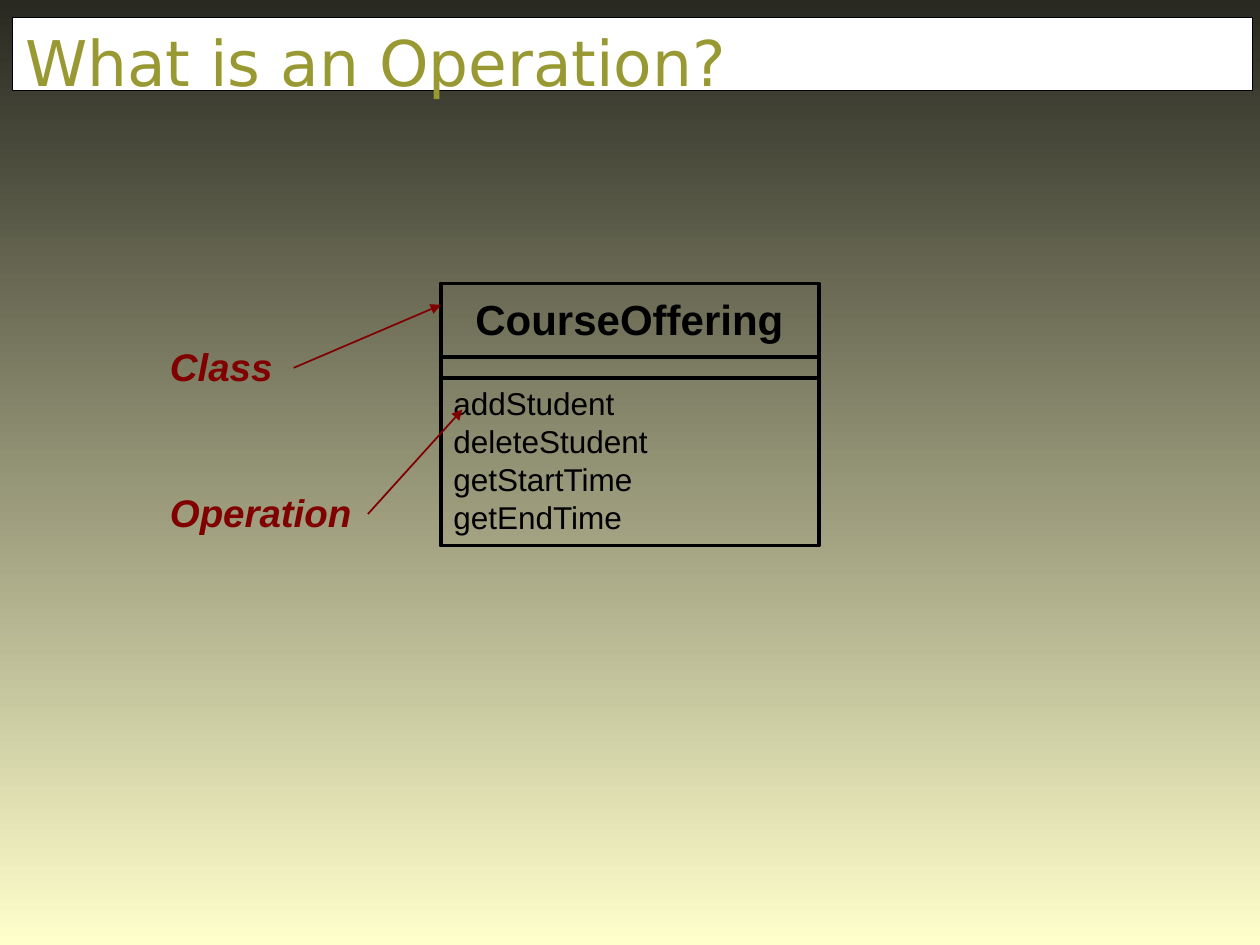
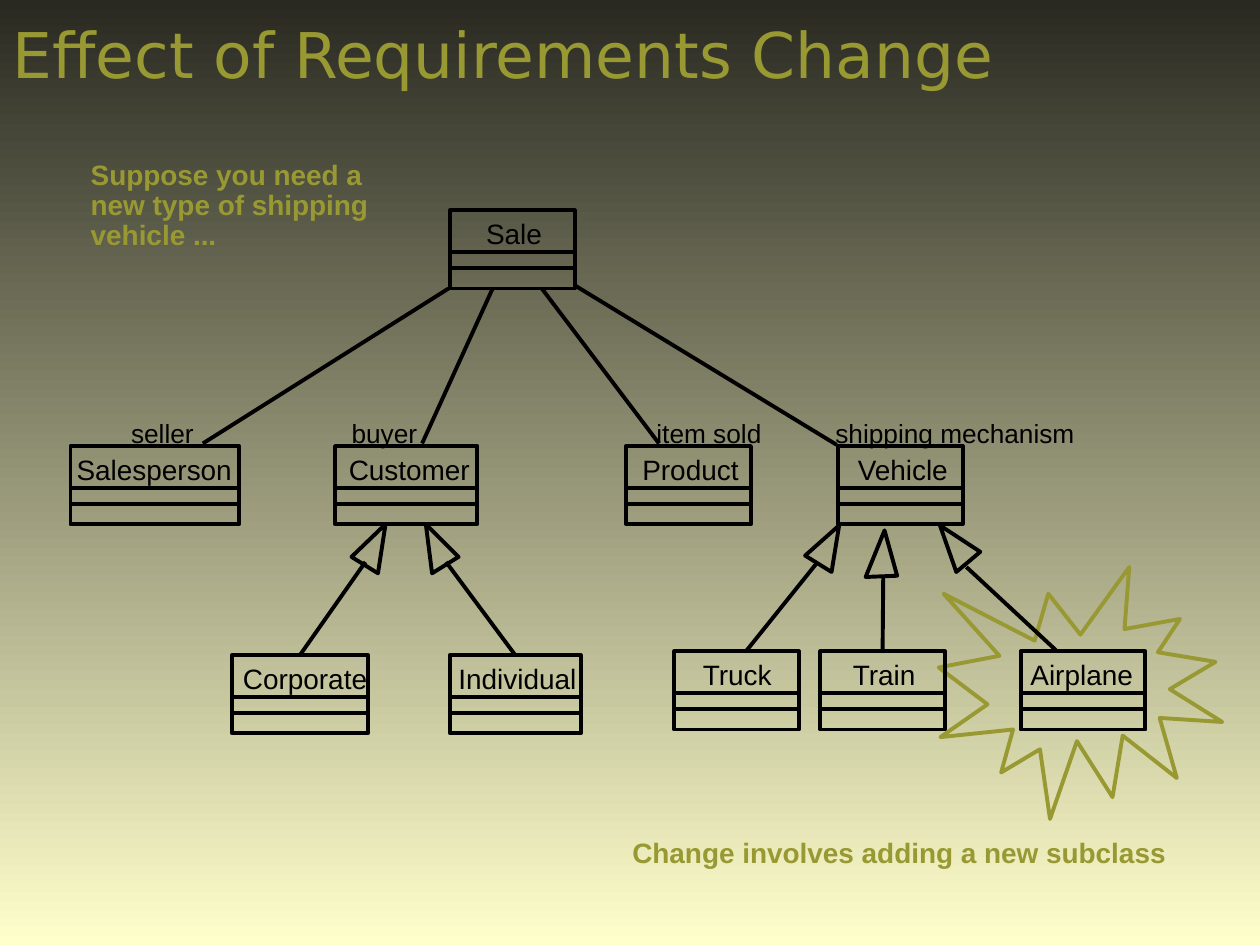
from dataclasses import dataclass

from lxml.etree import SubElement
from pptx import Presentation
from pptx.dml.color import RGBColor
from pptx.enum.shapes import MSO_CONNECTOR, MSO_SHAPE
from pptx.enum.text import MSO_ANCHOR, MSO_AUTO_SIZE, PP_ALIGN
from pptx.oxml.ns import qn
from pptx.shapes.autoshape import Shape
from pptx.shapes.connector import Connector
from pptx.slide import Slide
from pptx.util import Inches, Pt

COLORS = {"dark": "292921", "cream": "FFFFCC", "olive": "999933",
          "red": "800000", "black": "000000", "white": "FFFFFF"}
BODY, HEAD = "Arial", "DejaVu Sans"
THICK, THIN = 2.25, 1
CLASS_TALL = 0.62
SPLITS = (0.33, 0.46)

Point = tuple[float, float]


@dataclass
class Text:
    lines: tuple[str, ...]
    left: float
    top: float
    width: float
    height: float = 0.37
    size: float = 16
    color: str = "black"
    bold: bool = False
    slant: bool = False
    wrap: bool = False
    inset: Point = (0.1, 0.05)
    align: PP_ALIGN = PP_ALIGN.LEFT
    space: float = 1


@dataclass
class ClassBox:
    name: str
    left: float
    top: float
    width: float
    text_left: float
    text_width: float


@dataclass
class Link:
    start: Point
    end: Point
    child: str = ""


CLASSES = (
    ClassBox("Sale", 3.57, 1.67, 0.99, 3.76, 0.65),
    ClassBox("Salesperson", 0.56, 3.54, 1.34, 0.51, 1.43),
    ClassBox("Customer", 2.66, 3.54, 1.13, 2.67, 1.16),
    ClassBox("Product", 4.97, 3.54, 0.99, 5, 0.97),
    ClassBox("Vehicle", 6.65, 3.54, 0.99, 6.71, 0.93),
    ClassBox("Corporate", 1.84, 5.2, 1.08, 1.83, 1.19),
    ClassBox("Individual", 3.57, 5.2, 1.04, 3.54, 1.14),
    ClassBox("Truck", 5.35, 5.17, 0.99, 5.48, 0.76),
    ClassBox("Train", 6.51, 5.17, 0.99, 6.67, 0.71),
    ClassBox("Airplane", 8.1, 5.17, 0.99, 8.08, 1.02),
)
# A link with a child starts at the middle of that box's top side.
LINKS = (
    Link((3.56, 2.29), (1.61, 3.52)),
    Link((3.91, 2.29), (3.35, 3.52)),
    Link((4.3, 2.29), (5.23, 3.52)),
    Link((4.57, 2.27), (6.64, 3.53)),
    Link((2.4, 5.2), (2.9, 4.46), "Corporate"),
    Link((4.07, 5.2), (3.54, 4.46), "Individual"),
    Link((5.92, 5.17), (6.49, 4.46)),
    Link((7.01, 5.17), (7.01, 4.58), "Train"),
    Link((8.38, 5.16), (7.67, 4.5)),
)
HEADS = (
    ((3.06, 4.16), (3, 4.55), (2.79, 4.42)),
    ((3.38, 4.16), (3.64, 4.42), (3.43, 4.55)),
    ((6.66, 4.17), (6.6, 4.54), (6.39, 4.41)),
    ((7.02, 4.21), (7.12, 4.57), (6.87, 4.58)),
    ((7.46, 4.17), (7.78, 4.38), (7.59, 4.54)),
)
ROLES = (("seller", 0.92, 1.33), ("buyer", 2.67, 1.33),
         ("item sold", 5.09, 1.33), ("shipping mechanism", 6.51, 2.33))


def rgb(name: str) -> RGBColor:
    return RGBColor.from_string(COLORS[name])


def style(font, face: str, size: float, color: str) -> None:
    font.name, font.size = face, Pt(size)
    font.color.rgb = rgb(color)


def set_inset(frame, across: float, down: float) -> None:
    frame.margin_left = frame.margin_right = Inches(across)
    frame.margin_top = frame.margin_bottom = Inches(down)


def new_slide(deck: Presentation, title: str) -> Slide:
    slide = deck.slides.add_slide(deck.slide_layouts[5])
    shape = slide.shapes.title
    shape.left, shape.top = Inches(0.1), Inches(0.14)
    shape.width, shape.height = Inches(9.84), Inches(0.58)
    frame = shape.text_frame
    frame.auto_size = MSO_AUTO_SIZE.NONE
    frame.vertical_anchor = MSO_ANCHOR.BOTTOM
    set_inset(frame, 0, 0)
    para = frame.paragraphs[0]
    para.alignment = PP_ALIGN.LEFT
    run = para.add_run()
    run.text = title
    style(run.font, HEAD, 36, "olive")
    return slide


def add_text(slide: Slide, text: Text) -> None:
    box = slide.shapes.add_textbox(Inches(text.left), Inches(text.top),
                                   Inches(text.width), Inches(text.height))
    frame = box.text_frame
    frame.word_wrap = text.wrap
    frame.auto_size = MSO_AUTO_SIZE.SHAPE_TO_FIT_TEXT
    set_inset(frame, *text.inset)
    for i, line in enumerate(text.lines):
        para = frame.add_paragraph() if i else frame.paragraphs[0]
        para.alignment, para.line_spacing = text.align, text.space
        run = para.add_run()
        run.text = line
        style(run.font, BODY, text.size, text.color)
        run.font.bold, run.font.italic = text.bold, text.slant


def outline(shape: Shape, color: str = "black") -> Shape:
    shape.shadow.inherit = False
    shape.fill.background()
    shape.line.color.rgb = rgb(color)
    shape.line.width = Pt(THICK)
    return shape


def add_line(slide: Slide, start: Point, end: Point, color: str = "black",
             width: float = THICK, arrow: bool = False) -> Connector:
    line = slide.shapes.add_connector(
        MSO_CONNECTOR.STRAIGHT, *map(Inches, start + end))
    line.line.color.rgb = rgb(color)
    line.line.width = Pt(width)
    props = line._element.spPr
    if arrow:
        SubElement(props.find(qn("a:ln")), qn("a:tailEnd"), type="triangle")
    SubElement(props, qn("a:effectLst"))
    return line


def add_frame(slide: Slide, left: float, top: float, width: float,
              height: float, splits: tuple[float, ...]) -> Shape:
    """Draw a class outline, with a divider at each distance from its top."""
    box = outline(slide.shapes.add_shape(
        MSO_SHAPE.RECTANGLE, *map(Inches, (left, top, width, height))))
    for split in splits:
        add_line(slide, (left, top + split), (left + width, top + split))
    return box


def add_class(slide: Slide, item: ClassBox) -> Shape:
    box = add_frame(slide, item.left, item.top, item.width, CLASS_TALL, SPLITS)
    add_text(slide, Text((item.name,), item.text_left, item.top,
                         item.text_width))
    return box


def add_head(slide: Slide, points: tuple[Point, ...]) -> None:
    first, *rest = [(Inches(x), Inches(y)) for x, y in points]
    path = slide.shapes.build_freeform(*first)
    path.add_line_segments(rest, close=True)
    outline(path.convert_to_shape())


def build_operation(deck: Presentation) -> None:
    slide = new_slide(deck, "What is an Operation?")
    title = slide.shapes.title
    title.fill.solid()
    title.fill.fore_color.rgb = rgb("white")
    title.line.color.rgb = rgb("black")
    title.line.width = Pt(0.75)
    title.text_frame.vertical_anchor = MSO_ANCHOR.TOP
    set_inset(title.text_frame, 0.1, 0.05)

    add_frame(slide, 3.5, 2.25, 3, 2.08, (0.58, 0.75))
    add_text(slide, Text(("CourseOffering",), 3.77, 2.33, 2.45, 0.4, 24,
                         bold=True, inset=(0, 0), align=PP_ALIGN.CENTER))
    add_text(slide, Text(
        ("addStudent", "deleteStudent", "getStartTime", "getEndTime"),
        3.5, 3, 2.92, 1.6, 18, wrap=True))
    for name, top, start, end in (
            ("Class", 2.67, (2.33, 2.92), (3.5, 2.42)),
            ("Operation", 3.83, (2.92, 4.08), (3.67, 3.25))):
        add_text(slide, Text((name,), 1.25, top, 2.58, 0.47, 22, "red",
                             bold=True, slant=True, wrap=True))
        add_line(slide, start, end, "red", THIN, arrow=True)


def build_change(deck: Presentation) -> None:
    slide = new_slide(deck, "Effect of Requirements Change")
    add_text(slide, Text(
        ("Suppose you need a new type of shipping vehicle ...",),
        0.65, 1.24, 2.44, 0.79, color="olive", bold=True, wrap=True,
        inset=(0.07, 0.04), space=0.9))
    outline(slide.shapes.add_shape(
        MSO_SHAPE.EXPLOSION1, *map(Inches, (7.45, 4.5, 2.25, 2))), "olive")
    boxes = {item.name: add_class(slide, item) for item in CLASSES}
    for link in LINKS:
        line = add_line(slide, link.start, link.end)
        if link.child:
            line.begin_connect(boxes[link.child], 0)
    for points in HEADS:
        add_head(slide, points)
    for role, left, width in ROLES:
        add_text(slide, Text((role,), left, 3.25, width, size=15, wrap=True,
                             inset=(0.12, 0.06)))
    add_text(slide, Text(("Change involves adding a new subclass",),
                         4.92, 6.58, 4.44, color="olive", bold=True))


def main() -> None:
    deck = Presentation()
    deck.slide_width, deck.slide_height = Inches(10), Inches(7.5)
    fill = deck.slide_master.background.fill
    fill.gradient()
    fill.gradient_angle = 270
    for stop, color, place in zip(fill.gradient_stops, ("dark", "cream"),
                                  (0, 1)):
        stop.color.rgb = rgb(color)
        stop.position = place
    build_operation(deck)
    build_change(deck)
    deck.save("out.pptx")


if __name__ == "__main__":
    main()
